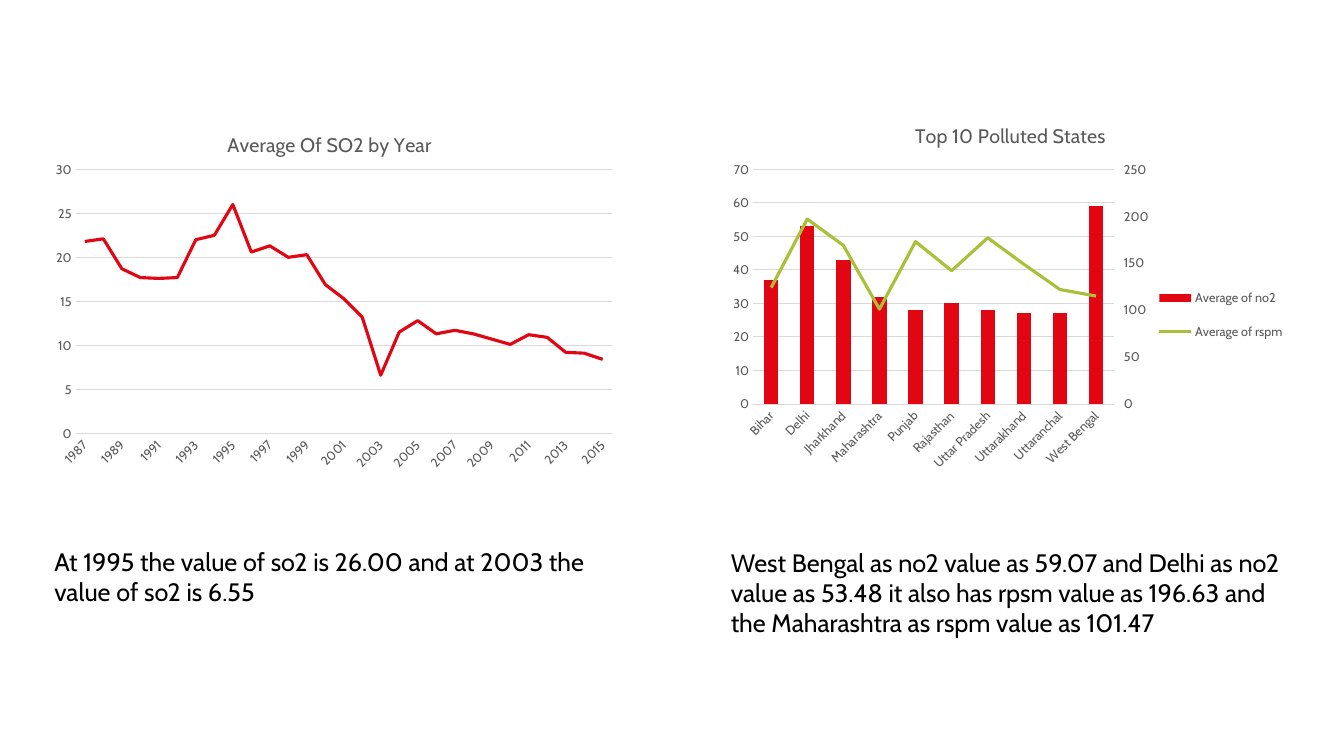
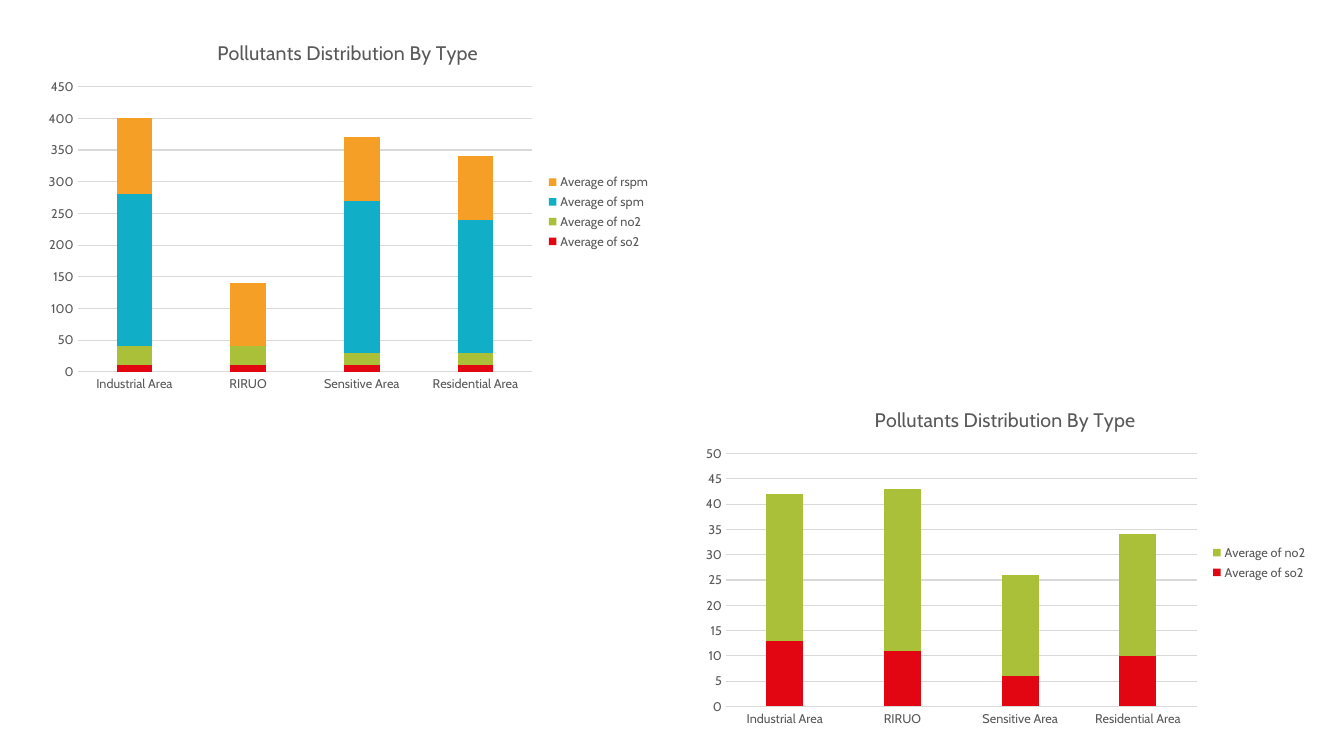
from copy import deepcopy

from pptx import Presentation
from pptx.chart.data import CategoryChartData
from pptx.chart.plot import LinePlot
from pptx.dml.color import RGBColor
from pptx.enum.chart import XL_CHART_TYPE, XL_LEGEND_POSITION, XL_MARKER_STYLE, XL_TICK_MARK
from pptx.enum.text import MSO_AUTO_SIZE
from pptx.oxml import parse_xml
from pptx.util import Pt

PX = 9144  # EMU, 100 px to the inch
FONT = "Cabin"
BLACK, GRAY, GRID = "000000", "595959", "D9D9D9"
SERIES_COLORS = ["E20613", "A9C038", "11AEC7", "F59F26"]
CHART_NS = 'xmlns:c="http://schemas.openxmlformats.org/drawingml/2006/chart"'


def set_font(font, size, color):
    font.name, font.size, font.bold = FONT, Pt(size), False
    font.color.rgb = RGBColor.from_string(color)


def set_layout(el, index, box, area, inner=False):
    """Place a chart part at area (left, top[, width, height]) on the slide, as shares of box."""
    for old in el.xpath("c:layout"):
        el.remove(old)
    left, top, w, h = box
    shares = [(area[0] - left) / w, (area[1] - top) / h]
    shares += [length / whole for length, whole in zip(area[2:], (w, h))]
    target = '<c:layoutTarget val="inner"/>' if inner else ""
    modes = '<c:xMode val="edge"/><c:yMode val="edge"/>'
    values = "".join(f'<c:{tag} val="{v:.4f}"/>' for tag, v in zip("xywh", shares))
    el.insert(index, parse_xml(
        f"<c:layout {CHART_NS}><c:manualLayout>{target}{modes}{values}"
        "</c:manualLayout></c:layout>"))


prs = Presentation()
prs.slide_width, prs.slide_height = 1333 * PX, 750 * PX
slides = [prs.slides.add_slide(prs.slide_layouts[6]) for _ in range(2)]

areas = ["Industrial Area", "RIRUO", "Sensitive Area", "Residential Area"]
charts = [
    dict(slide=0, box=(44, 105, 574, 370), plot=(75, 168, 532, 262),
         title="Average Of SO2 by Year", title_at=(222, 127),
         kind=XL_CHART_TYPE.LINE_STACKED, top=30, step=5, slanted=True,
         cats=[str(year) for year in range(1987, 2016)],
         series={"Series 1": [21.8, 22.1, 18.7, 17.7, 17.6, 17.7, 22, 22.5, 26, 20.6,
                              21.3, 20, 20.3, 16.9, 15.3, 13.2, 6.6, 11.5, 12.8, 11.3,
                              11.7, 11.3, 10.7, 10.1, 11.2, 10.9, 9.2, 9.1, 8.4]}),
    dict(slide=0, box=(715, 105, 574, 370), plot=(747, 168, 358, 233),
         title="Top 10 Polluted States", title_at=(904, 118),
         kind=XL_CHART_TYPE.COLUMN_CLUSTERED, top=70, step=10, slanted=True,
         gap=150, right_top=250, legend_area=(1146, 270, 130, 85),
         cats=["Bihar", "Delhi", "Jharkhand", "Maharashtra", "Punjab", "Rajasthan",
               "Uttar Pradesh", "Uttarakhand", "Uttaranchal", "West Bengal"],
         series={"Average of no2": [37, 53, 43, 32, 28, 30, 28, 27, 27, 59],
                 "Average of rspm": [124, 197, 169, 101, 173, 142, 177, 149, 122, 115]}),
    dict(slide=1, box=(36, 23, 619, 374), plot=(77, 86, 451, 283),
         title="Pollutants Distribution By Type", title_at=(212, 35),
         kind=XL_CHART_TYPE.COLUMN_STACKED, top=450, step=50, gap=219, cats=areas,
         series={"Average of so2": [10, 10, 10, 10],
                 "Average of no2": [30, 30, 20, 20],
                 "Average of spm": [240, None, 240, 210],
                 "Average of rspm": [120, 100, 100, 100]}),
    dict(slide=1, box=(688, 388, 619, 340), plot=(720, 450, 467, 251),
         title="Pollutants Distribution By Type", title_at=(864, 399),
         kind=XL_CHART_TYPE.COLUMN_STACKED, top=50, step=5, gap=219, cats=areas,
         series={"Average of so2": [13, 11, 6, 10],
                 "Average of no2": [29, 32, 20, 24]}),
]

for c in charts:
    data = CategoryChartData()
    data.categories = c["cats"]
    for name, values in c["series"].items():
        data.add_series(name, values)
    box = c["box"]
    frame = slides[c["slide"]].shapes.add_chart(c["kind"], *[n * PX for n in box], data)
    chart = frame.chart
    set_font(chart.font, 10, BLACK)

    chart.has_title = True
    tf = chart.chart_title.text_frame
    tf.text = c["title"]
    set_font(tf.paragraphs[0].runs[0].font, 14, GRAY)
    set_layout(chart.element.xpath(".//c:title")[0], 1, box, c["title_at"])
    plot_area = chart.element.xpath(".//c:plotArea")[0]
    set_layout(plot_area, 0, box, c["plot"], inner=True)

    cat_axis, val_axis = chart.category_axis, chart.value_axis
    for axis in (cat_axis, val_axis):
        axis.major_tick_mark = axis.minor_tick_mark = XL_TICK_MARK.NONE
        set_font(axis.tick_labels.font, 9, GRAY)
    val_axis.minimum_scale, val_axis.maximum_scale = 0, c["top"]
    val_axis.major_unit = c["step"]
    val_axis.format.line.fill.background()
    val_axis.has_major_gridlines = True
    for line in (cat_axis.format.line, val_axis.major_gridlines.format.line):
        line.color.rgb = RGBColor.from_string(GRID)
        line.width = Pt(0.75)
    if c.get("slanted"):
        plot_area.xpath("c:catAx/c:txPr/a:bodyPr")[0].set("rot", "-2700000")

    chart.has_legend = len(c["series"]) > 1
    if chart.has_legend:
        chart.legend.position = XL_LEGEND_POSITION.RIGHT
        chart.legend.include_in_layout = False
        set_font(chart.legend.font, 9, GRAY)
        if "legend_area" in c:
            set_layout(chart.element.xpath(".//c:legend")[0], 1, box, c["legend_area"])

    if "right_top" in c:
        # The last series becomes a line on a second value axis
        bars = plot_area.xpath("c:barChart")[0]
        line_chart = parse_xml(
            f'<c:lineChart {CHART_NS}><c:grouping val="standard"/><c:varyColors val="0"/>'
            '<c:marker val="1"/><c:axId val="5001"/><c:axId val="5002"/></c:lineChart>')
        ser = bars.xpath("c:ser")[-1]
        for flag in ser.xpath("c:invertIfNegative"):
            ser.remove(flag)
        line_chart.insert(2, ser)
        bars.addnext(line_chart)
        last_axis = plot_area.xpath("c:valAx")[0]
        for tag, own, other in (("valAx", "5002", "5001"), ("catAx", "5001", "5002")):
            axis = deepcopy(plot_area.xpath(f"c:{tag}")[0])
            axis.xpath("c:axId")[0].set("val", own)
            axis.xpath("c:crossAx")[0].set("val", other)
            if tag == "catAx":
                axis.xpath("c:delete")[0].set("val", "1")
            else:
                axis.remove(axis.xpath("c:majorGridlines")[0])
                axis.xpath("c:axPos")[0].set("val", "r")
                axis.xpath("c:crosses")[0].set("val", "max")
                axis.xpath("c:majorTickMark")[0].set("val", "out")
                axis.xpath("c:scaling/c:max")[0].set("val", str(c["right_top"]))
                axis.xpath("c:majorUnit")[0].set("val", "50")
            last_axis.addnext(axis)
            last_axis = axis

    colors = iter(SERIES_COLORS)
    for plot in chart.plots:
        plot.vary_by_categories = False
        is_line = isinstance(plot, LinePlot)
        if not is_line:
            plot.gap_width = c["gap"]
        for series in plot.series:
            color = RGBColor.from_string(next(colors))
            if is_line:
                series.smooth = False
                series.marker.style = XL_MARKER_STYLE.NONE
                series.format.line.color.rgb = color
                series.format.line.width = Pt(2.25)
            else:
                series.format.fill.solid()
                series.format.fill.fore_color.rgb = color

captions = [
    ((44, 537, 564, 71),
     "At 1995 the value of so2 is 26.00 and at 2003 the value of so2 is 6.55"),
    ((715, 538, 583, 101),
     "West Bengal as no2 value as 59.07 and Delhi as no2 value as 53.48 it also has "
     "rpsm value as 196.63 and the Maharashtra as rspm value as 101.47"),
]
for box, text in captions:
    tf = slides[0].shapes.add_textbox(*[n * PX for n in box]).text_frame
    tf.word_wrap = True
    tf.auto_size = MSO_AUTO_SIZE.SHAPE_TO_FIT_TEXT
    tf.text = text
    set_font(tf.paragraphs[0].runs[0].font, 18, BLACK)

prs.save("out.pptx")
